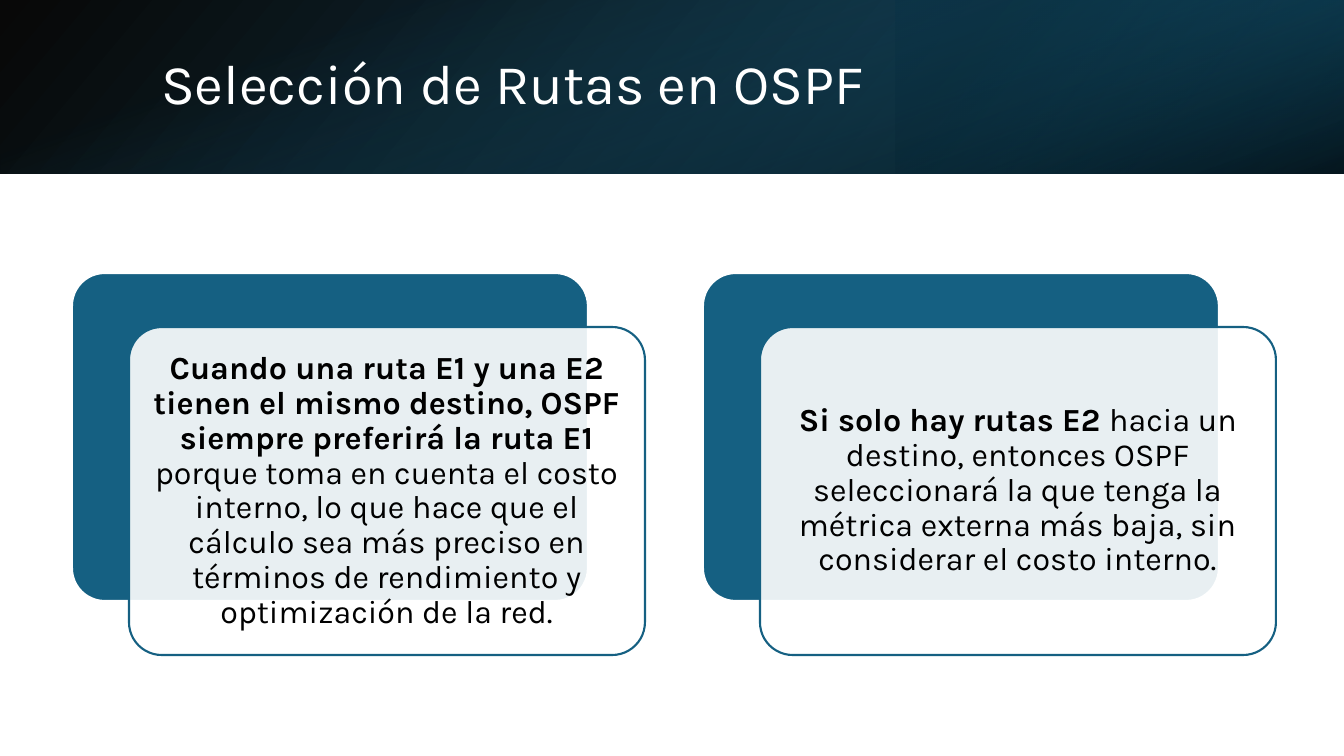
"""Build the slide on route selection in OSPF."""
from lxml.etree import SubElement
from pptx import Presentation
from pptx.dml.color import RGBColor as RGB
from pptx.enum.shapes import MSO_SHAPE as SHAPE
from pptx.enum.text import MSO_ANCHOR as ANCHOR, MSO_AUTO_SIZE as FIT, PP_ALIGN as ALIGN
from pptx.oxml.ns import qn
from pptx.util import Pt

THEME = {
    "font": "Karla", "title_size": Pt(40), "body_size": Pt(23), "outline": Pt(1.5),
    "white": "FFFFFF", "black": "000000", "blue": "156082",
    "deep_blue": "104862", "night_blue": "0B3041",
}
EMU_PER_PX = 914400 / 100.8
WIDTH, HEIGHT, BAND = 1344, 756, 174


def px(*lengths):
    return [round(length * EMU_PER_PX) for length in lengths]


def set_alpha(shape, opacities):
    colors = shape.element.spPr.iter(qn("a:srgbClr"))
    for color, opacity in zip(colors, opacities):
        SubElement(color, qn("a:alpha")).set("val", str(opacity * 1000))


deck = Presentation()
deck.slide_width, deck.slide_height = px(WIDTH, HEIGHT)
slide = deck.slides.add_slide(deck.slide_layouts[5])

band_layers = [
    ((0, 0, WIDTH, BAND), 0, True, 140, [(0, "black", 96), (100, "deep_blue", 0)]),
    ((896, 0, 448, BAND), 180, True, 320, [(19, "night_blue", 68), (100, "blue", 79)]),
    (((WIDTH - BAND) // 2, (BAND - WIDTH) // 2, BAND, WIDTH), 90, False, 340,
     [(23, "blue", 0), (99, "black", 74)]),
]
band_layers[0][4][1] = (100, "deep_blue", 96)
for box, rotation, flipped, angle, stops in band_layers:
    layer = slide.shapes.add_shape(SHAPE.RECTANGLE, *px(*box))
    layer.shadow.inherit = False
    layer.rotation = rotation
    if flipped:
        layer.element.spPr.find(qn("a:xfrm")).set("flipH", "1")
    layer.fill.gradient()
    layer.fill.gradient_angle = 360 - angle
    for stop, (position, color, _) in zip(layer.fill.gradient_stops, stops):
        stop.position = position / 100
        stop.color.rgb = RGB.from_string(THEME[color])
    set_alpha(layer, [opacity for _, _, opacity in stops])
    layer.line.fill.background()

title = slide.shapes.title
title.element.getparent().append(title.element)
title.left, title.top, title.width, title.height = px(151, 38, 1107, 97)
title.text_frame.text = "Selección de Rutas en OSPF"
title.text_frame.auto_size = FIT.NONE
title.text_frame.vertical_anchor = ANCHOR.MIDDLE
heading = title.text_frame.paragraphs[0]
heading.alignment = ALIGN.LEFT
heading.line_spacing = 0.9
heading.font.name, heading.font.size = THEME["font"], THEME["title_size"]
heading.font.color.rgb = RGB.from_string(THEME["white"])

rules = [
    ("Cuando una ruta E1 y una E2 tienen el mismo destino, OSPF siempre preferirá la ruta E1 ",
     "porque toma en cuenta el costo interno, lo que hace que el cálculo sea más preciso "
     "en términos de rendimiento y optimización de la red."),
    ("Si solo hay rutas E2 ",
     "hacia un destino, entonces OSPF seleccionará la que tenga la métrica externa más baja, "
     "sin considerar el costo interno."),
]
CARD_LEFT, CARD_TOP, CARD_WIDTH, CARD_HEIGHT = 72, 273, 516, 328
CARD_STEP, OFFSET_X, OFFSET_Y, INSET = 631, 57, 54, 10

for column, (condition, outcome) in enumerate(rules):
    left = CARD_LEFT + column * CARD_STEP
    for shift_x, shift_y, fill, outline in [
        (0, 0, "blue", "white"),
        (OFFSET_X, OFFSET_Y, "white", "blue"),
    ]:
        card = slide.shapes.add_shape(
            SHAPE.ROUNDED_RECTANGLE,
            *px(left + shift_x, CARD_TOP + shift_y, CARD_WIDTH, CARD_HEIGHT))
        card.shadow.inherit = False
        card.adjustments[0] = 0.1
        card.fill.solid()
        card.fill.fore_color.rgb = RGB.from_string(THEME[fill])
        card.line.color.rgb = RGB.from_string(THEME[outline])
        card.line.width = THEME["outline"]

    set_alpha(card, [90])
    frame = card.text_frame
    frame.word_wrap = True
    frame.vertical_anchor = ANCHOR.MIDDLE
    frame.margin_left, frame.margin_top, frame.margin_right, frame.margin_bottom = px(*[INSET] * 4)
    rule = frame.paragraphs[0]
    rule.alignment = ALIGN.CENTER
    rule.line_spacing = 0.9
    rule.font.name, rule.font.size = THEME["font"], THEME["body_size"]
    rule.font.color.rgb = RGB.from_string(THEME["black"])
    for words, bold in [(condition, True), (outcome, False)]:
        run = rule.add_run()
        run.text = words
        run.font.bold = bold

deck.save("out.pptx")
